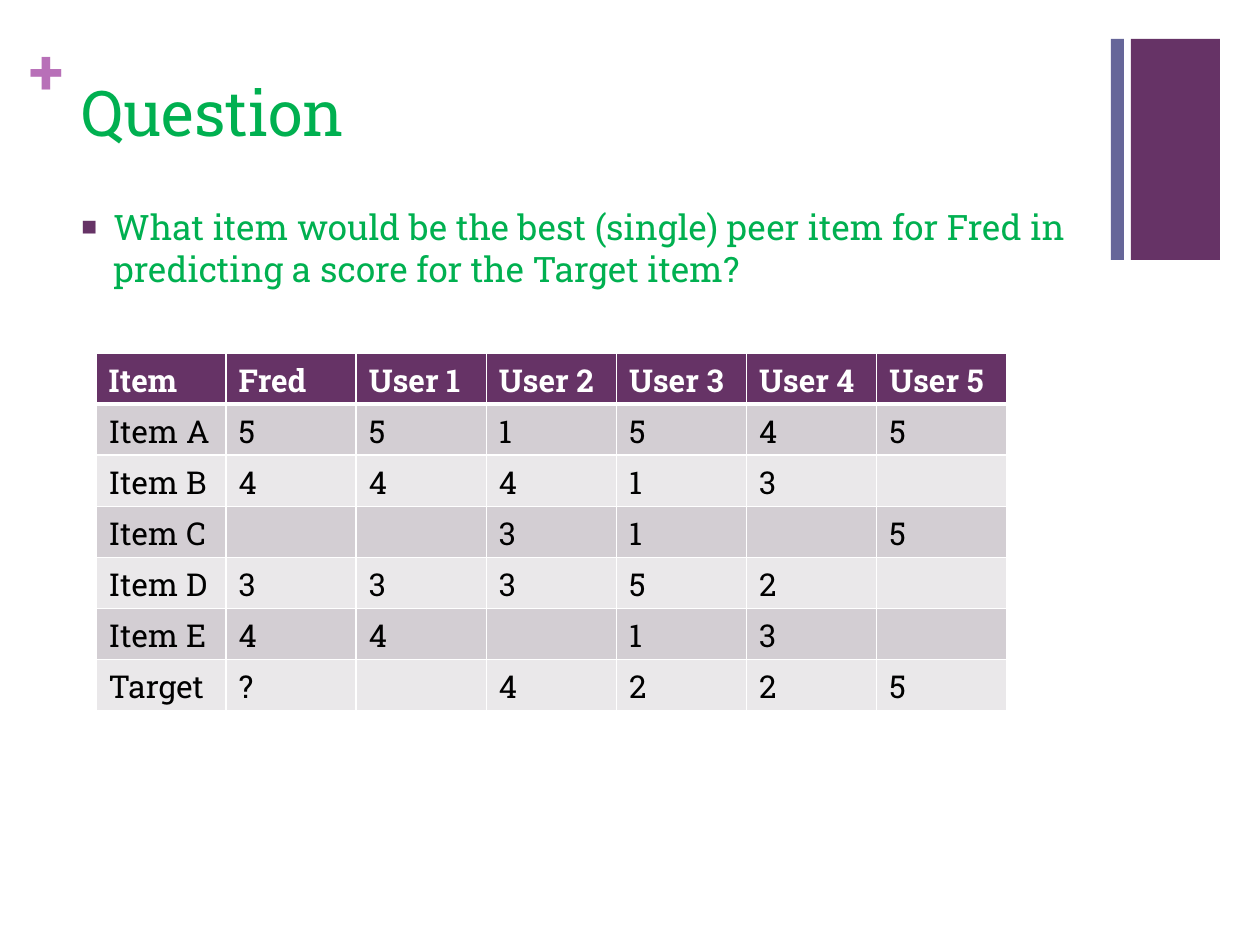
from lxml.etree import SubElement
from pptx import Presentation
from pptx.dml.color import RGBColor
from pptx.enum.shapes import MSO_SHAPE
from pptx.enum.text import MSO_ANCHOR, PP_ALIGN
from pptx.oxml.ns import qn
from pptx.util import Emu, Pt

PX = 914400 / 126
FONT = "Roboto Slab"
PLUM = RGBColor(0x66, 0x33, 0x66)
SLATE = RGBColor(0x66, 0x66, 0x99)
ORCHID = RGBColor(0xB8, 0x70, 0xB8)
GREEN = RGBColor(0x00, 0xB0, 0x50)
WHITE = RGBColor(0xFF, 0xFF, 0xFF)
BLACK = RGBColor(0x00, 0x00, 0x00)
BANDS = (RGBColor(0xD3, 0xCE, 0xD3), RGBColor(0xEA, 0xE8, 0xEA))

HEADING = {"size": Pt(36), "color": GREEN}
BODY = {"size": Pt(20), "color": GREEN}
PLUS = {"size": Pt(36), "color": ORCHID, "bold": True}
TABLE_HEAD = {"size": Pt(18), "color": WHITE, "bold": True}
TABLE_BODY = {"size": Pt(18), "color": BLACK, "bold": False}

RATINGS = [
    ("Item", "Fred", "User 1", "User 2", "User 3", "User 4", "User 5"),
    ("Item A", "5", "5", "1", "5", "4", "5"),
    ("Item B", "4", "4", "4", "1", "3", ""),
    ("Item C", "", "", "3", "1", "", "5"),
    ("Item D", "3", "3", "3", "5", "2", ""),
    ("Item E", "4", "4", "", "1", "3", ""),
    ("Target", "?", "", "4", "2", "2", "5"),
]


def px(length):
    return Emu(round(length * PX))


def format_font(font, style):
    font.name = FONT
    for name, value in style.items():
        if name == "color":
            font.color.rgb = value
        else:
            setattr(font, name, value)


def add_text(slide, box, text, style, **frame_format):
    """Add a wrapped, top-anchored text box and return its paragraph."""
    frame = slide.shapes.add_textbox(*map(px, box)).text_frame
    settings = {"word_wrap": True, "vertical_anchor": MSO_ANCHOR.TOP, **frame_format}
    for name, value in settings.items():
        setattr(frame, name, value)
    paragraph = frame.paragraphs[0]
    paragraph.alignment = PP_ALIGN.LEFT
    run = paragraph.add_run()
    run.text = text
    format_font(run.font, style)
    return paragraph


def add_bar(slide, box, color):
    bar = slide.shapes.add_shape(MSO_SHAPE.RECTANGLE, *map(px, box))
    bar.shadow.inherit = False
    bar.fill.solid()
    bar.fill.fore_color.rgb = color
    bar.line.fill.background()


def add_corner_bars(slide, box):
    """Fill the box with a thin bar, a gap and a wide bar."""
    left, top, width, height = box
    thin, gap = 13, 7
    add_bar(slide, (left, top, thin, height), SLATE)
    add_bar(slide, (left + thin + gap, top, width - thin - gap, height), PLUM)


def add_plus(slide, box):
    margins = dict.fromkeys(
        ("margin_left", "margin_top", "margin_right", "margin_bottom"), 0)
    add_text(slide, box, "+", PLUS, **margins)


def add_question(slide, box):
    paragraph = add_text(
        slide, box,
        "What item would be the best (single) peer item for Fred in "
        "predicting a score for the Target item?", BODY)
    paragraph.space_before = Pt(20)
    properties = paragraph._p.get_or_add_pPr()
    indent = px(32)
    properties.set("marL", str(indent))
    properties.set("indent", str(-indent))
    bullet_color = SubElement(properties, qn("a:buClr"))
    SubElement(bullet_color, qn("a:srgbClr"), val=str(PLUM))
    SubElement(properties, qn("a:buSzPct"), val="75000")
    SubElement(properties, qn("a:buFont"), typeface="Arial")
    SubElement(properties, qn("a:buChar"), char="■")


def set_borders(cell, bottom):
    properties = cell._tc.get_or_add_tcPr()
    widths = {"a:lnL": 1, "a:lnR": 1, "a:lnT": 1, "a:lnB": bottom}
    for position, (side, width) in enumerate(widths.items()):
        line = properties.makeelement(qn(side), {"w": str(Pt(width))})
        fill = SubElement(line, qn("a:solidFill"))
        SubElement(fill, qn("a:srgbClr"), val=str(WHITE))
        properties.insert(position, line)


def add_ratings(slide, box):
    rows, columns = len(RATINGS), len(RATINGS[0])
    left, top, width, height = box
    table = slide.shapes.add_table(rows, columns, *map(px, box)).table
    for column in table.columns:
        column.width = px(width / columns)
    for row in table.rows:
        row.height = px(height / rows)
    for r, ratings in enumerate(RATINGS):
        is_head = r == 0
        style = TABLE_HEAD if is_head else TABLE_BODY
        for c, rating in enumerate(ratings):
            cell = table.cell(r, c)
            cell.text = rating
            format_font(cell.text_frame.paragraphs[0].font, style)
            for run in cell.text_frame.paragraphs[0].runs:
                format_font(run.font, style)
            cell.fill.solid()
            cell.fill.fore_color.rgb = PLUM if is_head else BANDS[(r - 1) % 2]
            set_borders(cell, bottom=3 if is_head else 1)


def main():
    presentation = Presentation()
    presentation.slide_width, presentation.slide_height = px(1260), px(945)
    slide = presentation.slides.add_slide(presentation.slide_layouts[6])
    add_corner_bars(slide, (1111, 39, 109, 221))
    add_plus(slide, (30, 32, 37, 77))
    add_text(slide, (69, 67, 1041, 154), "Question", HEADING)
    add_ratings(slide, (96, 353, 911, 358))
    add_question(slide, (69, 199, 1041, 154))
    presentation.save("out.pptx")


if __name__ == "__main__":
    main()
